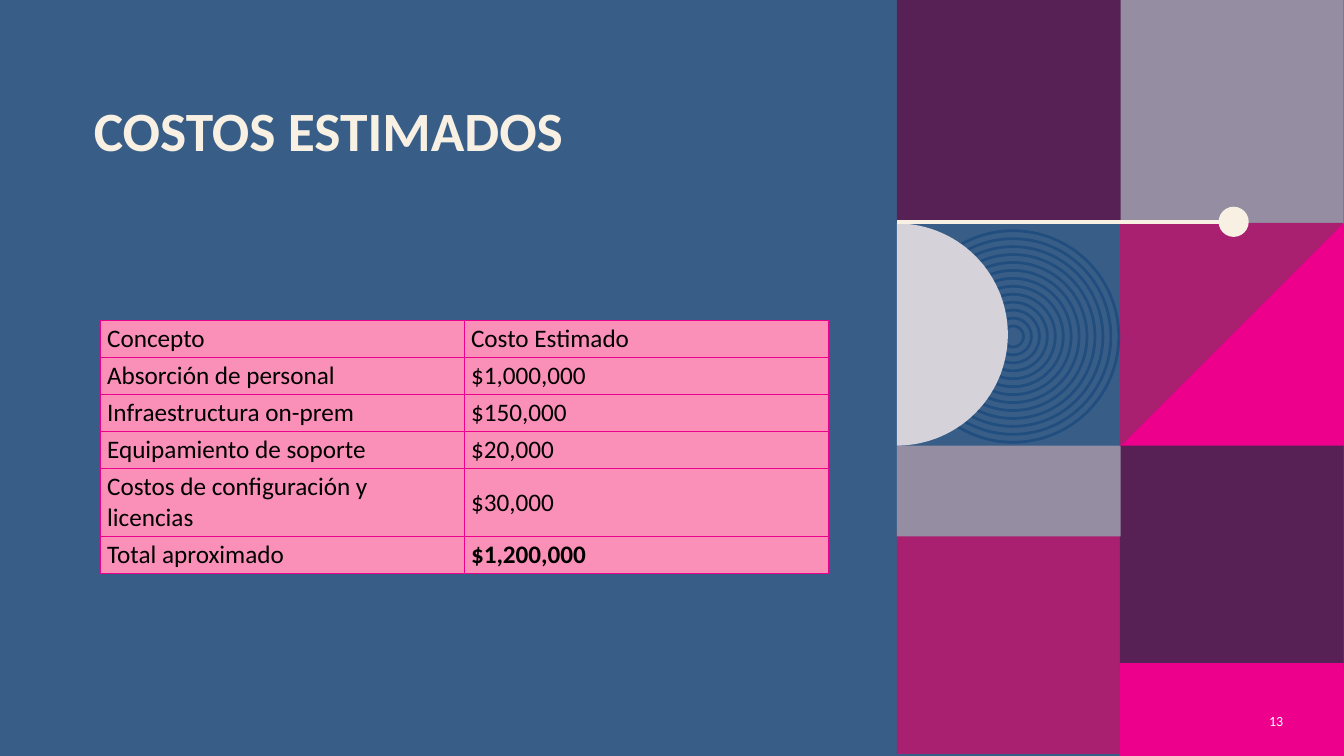
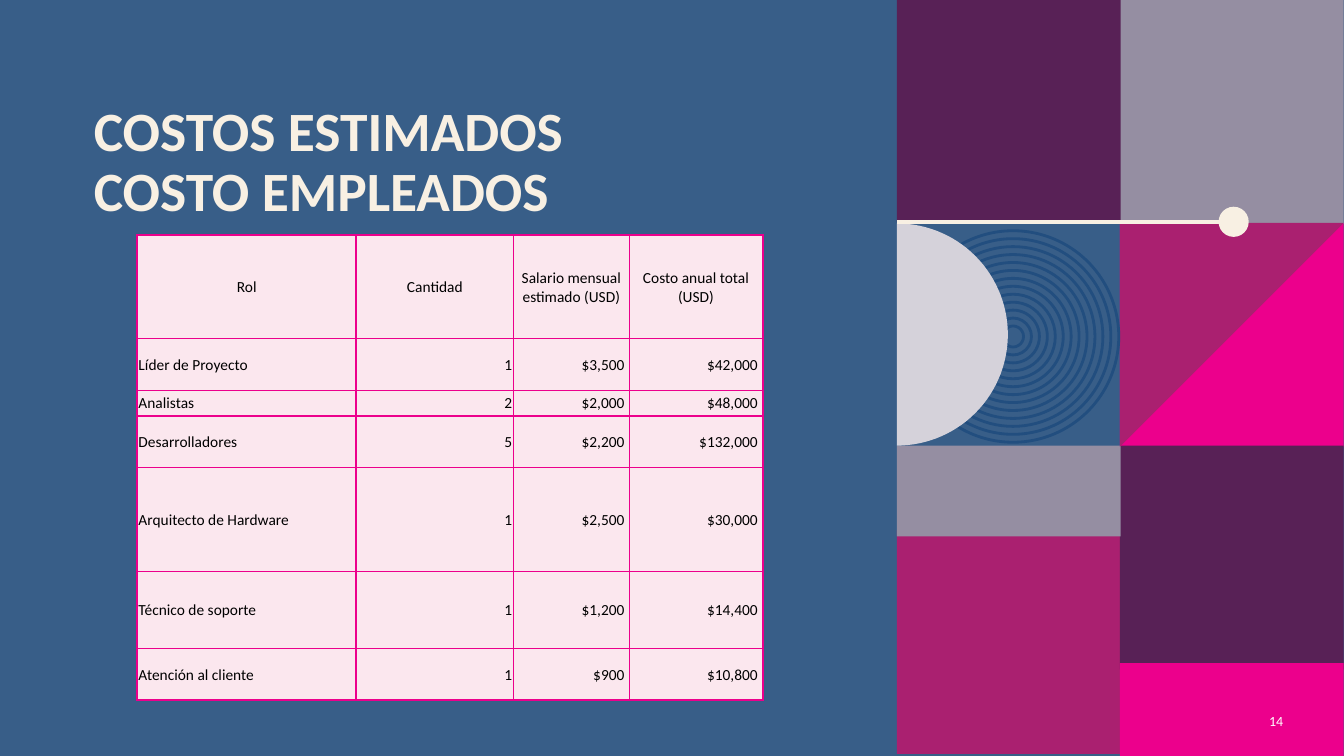
from math import cos, pi, sin

from lxml.etree import SubElement
from pptx import Presentation
from pptx.dml.color import RGBColor
from pptx.enum.shapes import MSO_CONNECTOR, MSO_SHAPE
from pptx.enum.text import MSO_ANCHOR, MSO_AUTO_SIZE, PP_ALIGN
from pptx.oxml.ns import qn
from pptx.util import Cm, Pt

# Theme
FONT = "Calibri"
BLUE, NAVY, CREAM, WHITE, BLACK = "385E88", "224E7F", "F8F0E3", "FFFFFF", "000000"
PINK, MAGENTA, PLUM, MAUVE, PALE_MAUVE = "EC008C", "AA2070", "582156", "958EA2", "D5D2DA"
LEFT, CENTER, RIGHT = PP_ALIGN.LEFT, PP_ALIGN.CENTER, PP_ALIGN.RIGHT
TITLE_FORMAT = {"name": FONT, "size": Pt(39.6), "bold": True}
PAGE_FORMAT = {"name": FONT, "size": Pt(10), "bold": False}

# Mosaic on the right, in cm: left, top, width, height, colour
TILE, COLUMN_1, COLUMN_2 = 5.64, 22.6, 28.22
ROW_2, ROW_3 = 5.62, 11.23
TILES = [
    (COLUMN_2, ROW_2, TILE, TILE, PINK),
    (COLUMN_2, 0, TILE, TILE, MAUVE),
    (COLUMN_1, 0, TILE, 5.6, PLUM),
    (COLUMN_1, 13.36, TILE, TILE, MAGENTA),
    (COLUMN_2, ROW_3, TILE, TILE, PLUM),
    (COLUMN_2, 16.71, TILE, 2.34, PINK),
    (COLUMN_1, ROW_3, TILE, 2.29, MAUVE),
]
RING_CENTER, RING_COUNT, RING_OUTER, RING_STEP = (25.53, 8.48), 13, 5.33, 0.4
HALF_DISC_CENTER, HALF_DISC_RADIUS = (COLUMN_1, 8.43), 2.8
KNOB_CENTER, KNOB_SIZE = (31.09, 5.59), 0.76

# Content
SLIDES = [
    {
        "title": "COSTOS ESTIMADOS",
        "page": "13",
        "rows": [
            ("Concepto", "Costo Estimado"),
            ("Absorción de personal", "$1,000,000"),
            ("Infraestructura on-prem", "$150,000"),
            ("Equipamiento de soporte", "$20,000"),
            ("Costos de configuración y licencias", "$30,000"),
            ("Total aproximado", "$1,200,000"),
        ],
        "position": (2.54, 8.06),
        "widths": [9.17, 9.17],
        "heights": [0.93, 0.93, 0.93, 0.93, 1.71, 0.93],
        "fill": "FA90B8",
        "size": 18,
        "alignments": [LEFT, LEFT],
        "header_alignment": LEFT,
        "margins": (0.16, 0.08, 0.16, 0.08),
        "money_margin": 0.16,
        "bold_cells": {(5, 1)},
        "heavy_columns": set(),
        "heavy_rows": set(),
    },
    {
        "title": "COSTOS ESTIMADOS\vCOSTO EMPLEADOS",
        "page": "14",
        "rows": [
            ("Rol", "Cantidad", "Salario mensual estimado (USD)", "Costo anual total (USD)"),
            ("Líder de Proyecto", "1", "$3,500", "$42,000"),
            ("Analistas", "2", "$2,000", "$48,000"),
            ("Desarrolladores", "5", "$2,200", "$132,000"),
            ("Arquitecto de Hardware", "1", "$2,500", "$30,000"),
            ("Técnico de soporte", "1", "$1,200", "$14,400"),
            ("Atención al cliente", "1", "$900", "$10,800"),
        ],
        "position": (3.46, 5.92),
        "widths": [5.52, 3.96, 2.92, 3.36],
        "heights": [2.61, 1.3, 0.65, 1.3, 2.61, 1.95, 1.3],
        "fill": "FBE7EE",
        "size": 11,
        "alignments": [LEFT, RIGHT, RIGHT, RIGHT],
        "header_alignment": CENTER,
        "margins": (0.03, 0.03, 0.03, 0),
        "money_margin": 0.12,
        "bold_cells": set(),
        "heavy_columns": {0, 1, 4},
        "heavy_rows": {0, 3, 7},
    },
]


def color(value):
    return RGBColor.from_string(value)


def format_font(font, values, font_color):
    for name, value in values.items():
        setattr(font, name, value)
    font.color.rgb = color(font_color)


def paint(shape, fill=None, line=None):
    shape.shadow.inherit = False
    if fill:
        shape.fill.solid()
        shape.fill.fore_color.rgb = color(fill)
    else:
        shape.fill.background()
    if line:
        shape.line.color.rgb = color(line)
        shape.line.width = Pt(2)
    else:
        shape.line.fill.background()


def add_circle(slide, center, size, fill=None, line=None):
    left, top = (Cm(value - size / 2) for value in center)
    circle = slide.shapes.add_shape(MSO_SHAPE.OVAL, left, top, Cm(size), Cm(size))
    paint(circle, fill, line)


def add_outline(slide, points, fill):
    first, *others = [(Cm(x), Cm(y)) for x, y in points]
    builder = slide.shapes.build_freeform(*first)
    builder.add_line_segments(others)
    paint(builder.convert_to_shape(), fill)


def add_mosaic(slide):
    # Tiles, with the one split along its diagonal
    for left, top, width, height, fill in TILES:
        tile = slide.shapes.add_shape(MSO_SHAPE.RECTANGLE, Cm(left), Cm(top), Cm(width), Cm(height))
        paint(tile, fill)
    corners = [(COLUMN_2, ROW_2), (COLUMN_2 + TILE, ROW_2), (COLUMN_2, ROW_2 + TILE)]
    add_outline(slide, corners, MAGENTA)

    # Concentric rings and half disc
    for ring in range(RING_COUNT):
        add_circle(slide, RING_CENTER, RING_OUTER - ring * RING_STEP, line=NAVY)
    center_x, center_y = HALF_DISC_CENTER
    angles = [-pi / 2 + pi * step / 60 for step in range(61)]
    arc = [(center_x + HALF_DISC_RADIUS * cos(angle), center_y + HALF_DISC_RADIUS * sin(angle))
           for angle in angles]
    add_outline(slide, arc, PALE_MAUVE)

    # Line ending in a knob
    knob_x, knob_y = KNOB_CENTER
    line = slide.shapes.add_connector(
        MSO_CONNECTOR.STRAIGHT, Cm(COLUMN_1), Cm(knob_y), Cm(knob_x), Cm(knob_y))
    line.line.color.rgb = color(CREAM)
    line.line.width = Pt(3)
    SubElement(line._element.spPr, qn("a:effectLst"))
    add_circle(slide, KNOB_CENTER, KNOB_SIZE, fill=CREAM)


def add_title(slide, text):
    title = slide.shapes.title
    title.left, title.top, title.width, title.height = Cm(2.11), Cm(2.49), Cm(20.47), Cm(1.73)
    frame = title.text_frame
    frame.text = text
    frame.auto_size = MSO_AUTO_SIZE.NONE
    frame.vertical_anchor = MSO_ANCHOR.TOP
    paragraph = frame.paragraphs[0]
    paragraph.alignment = LEFT
    paragraph.line_spacing = 0.9
    format_font(paragraph.font, TITLE_FORMAT, CREAM)


def add_page_number(slide, text):
    box = slide.shapes.add_textbox(Cm(31.32), Cm(17.65), Cm(1.27), Cm(1.02))
    frame = box.text_frame
    frame.word_wrap = True
    frame.vertical_anchor = MSO_ANCHOR.MIDDLE
    paragraph = frame.paragraphs[0]
    paragraph.text = text
    paragraph.alignment = RIGHT
    format_font(paragraph.font, PAGE_FORMAT, WHITE)


def add_borders(cell, edges):
    properties = cell._tc.get_or_add_tcPr()
    for side, heavy in edges.items():
        border = SubElement(properties, qn(f"a:ln{side}"), w=str(Pt(1.5 if heavy else 0.5)))
        SubElement(SubElement(border, qn("a:solidFill")), qn("a:srgbClr"), val=PINK)


def format_cell(cell, content, row, column):
    heavy_rows, heavy_columns = content["heavy_rows"], content["heavy_columns"]
    add_borders(cell, {
        "L": column in heavy_columns,
        "R": column + 1 in heavy_columns,
        "T": row in heavy_rows,
        "B": row + 1 in heavy_rows,
    })
    cell.fill.solid()
    cell.fill.fore_color.rgb = color(content["fill"])
    cell.vertical_anchor = MSO_ANCHOR.MIDDLE
    for side, margin in zip(("left", "top", "right", "bottom"), content["margins"]):
        setattr(cell, f"margin_{side}", Cm(margin))
    text = content["rows"][row][column]
    if text.startswith("$"):
        cell.margin_right = Cm(content["money_margin"])
    cell.text = text
    paragraph = cell.text_frame.paragraphs[0]
    paragraph.alignment = content["alignments"][column] if row else content["header_alignment"]
    bold = (row, column) in content["bold_cells"]
    format_font(paragraph.runs[0].font,
                {"name": FONT, "size": Pt(content["size"]), "bold": bold}, BLACK)


def add_cost_table(slide, content):
    widths, heights = content["widths"], content["heights"]
    left, top = content["position"]
    table = slide.shapes.add_table(
        len(heights), len(widths), Cm(left), Cm(top), Cm(sum(widths)), Cm(sum(heights))).table
    table.first_row = table.horz_banding = False
    for column, width in zip(table.columns, widths):
        column.width = Cm(width)
    for row, height in enumerate(heights):
        table.rows[row].height = Cm(height)
        for column in range(len(widths)):
            format_cell(table.cell(row, column), content, row, column)


def main():
    presentation = Presentation()
    presentation.slide_width, presentation.slide_height = Cm(33.87), Cm(19.05)
    for content in SLIDES:
        slide = presentation.slides.add_slide(presentation.slide_layouts[5])
        slide.background.fill.solid()
        slide.background.fill.fore_color.rgb = color(BLUE)
        add_mosaic(slide)
        add_title(slide, content["title"])
        add_cost_table(slide, content)
        add_page_number(slide, content["page"])
    presentation.save("out.pptx")


if __name__ == "__main__":
    main()
